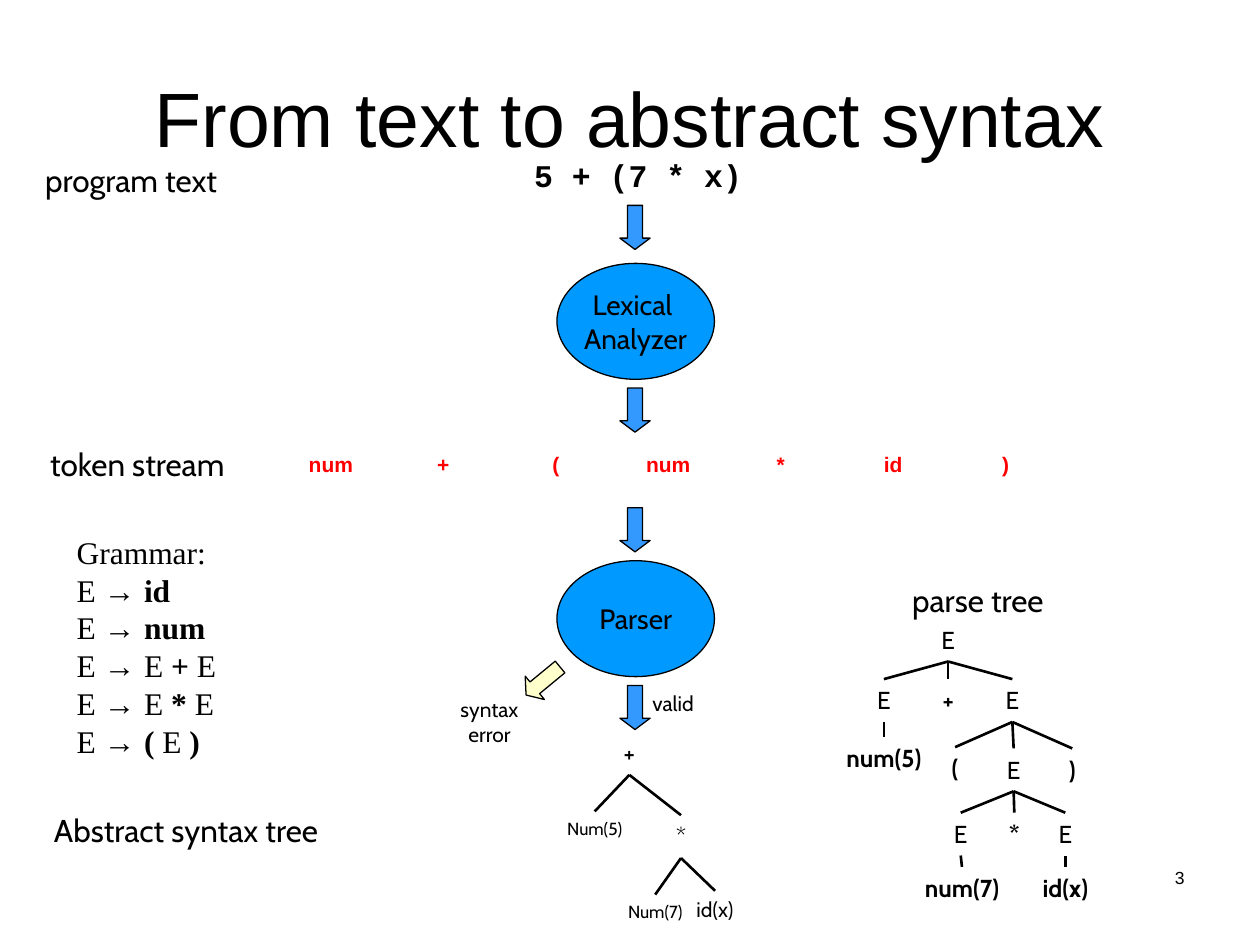
from lxml import etree
from pptx import Presentation
from pptx.dml.color import RGBColor
from pptx.enum.shapes import MSO_CONNECTOR, MSO_SHAPE
from pptx.enum.text import MSO_ANCHOR, PP_ALIGN
from pptx.oxml.ns import qn
from pptx.util import Inches, Pt

LEFT, MID, RIGHT = PP_ALIGN.LEFT, PP_ALIGN.CENTER, PP_ALIGN.RIGHT
OVAL, DOWN = MSO_SHAPE.OVAL, MSO_SHAPE.DOWN_ARROW
LINE = MSO_CONNECTOR.STRAIGHT
CENTRE = MSO_ANCHOR.MIDDLE
TOP, BOTTOM = 0, 2

deck = Presentation()
deck.slide_width, deck.slide_height = Inches(10), Inches(7.5)
UNIT = deck.slide_width / 100  # grid of 100 columns by 75 rows

slide = deck.slides.add_slide(deck.slide_layouts[5])
shapes = slide.shapes


def ink(code):
    return RGBColor.from_string(code)


def write(shape, box, text, size, face="Cabin", bold=False, align=LEFT):
    """Move a shape to its grid box and fill in its text."""
    for name, value in zip(("left", "top", "width", "height"), box):
        setattr(shape, name, round(value * UNIT))
    frame = shape.text_frame
    frame.word_wrap = align != MID
    para = frame.paragraphs[0]
    para.text = text
    para.alignment = align
    style = {"size": Pt(size), "name": face, "bold": bold}
    for run in para.runs:
        for name, value in style.items():
            setattr(run.font, name, value)
        run.font.color.rgb = ink("000000")
    return shape


# Title and page number
title = write(shapes.title, (5, 3, 90, 12.5), "From text to abstract syntax",
              44, "Arial", align=MID)
title.text_frame.vertical_anchor = CENTRE
write(shapes.add_textbox(0, 0, 0, 0), (71.7, 68.3, 23.3, 5), "3", 10,
      "Arial", align=RIGHT)

# Stage labels
write(shapes.add_textbox(0, 0, 0, 0), (41.4, 11.9, 19.3, 4), "5 + (7 * x)",
      18, "Courier New", True)
labels = [
    ("program text", (2.6, 12.3, 17.6, 4), 18, LEFT),
    ("token stream", (3, 34.8, 17.6, 4), 18, LEFT),
    ("Abstract syntax tree", (3.3, 63.9, 25.4, 4), 18, LEFT),
    ("parse tree", (71.4, 45.6, 14, 4), 18, LEFT),
    ("valid", (50.8, 54.3, 5.6, 3), 12, LEFT),
    ("syntax\nerror", (35.3, 54.8, 7.1, 5), 12, MID),
]
for text, box, size, align in labels:
    write(shapes.add_textbox(0, 0, 0, 0), box, text, size, align=align)

# Token table
tokens = ["num", "+", "(", "num", "*", "id", ")"]
frame = shapes.add_table(1, len(tokens), *(
    round(v * UNIT) for v in (21.8, 35.5, 62.5, 3.2)))
table = frame.table
table.first_row = table.horz_banding = False
for cell, token in zip(table.rows[0].cells, tokens):
    para = cell.text_frame.paragraphs[0]
    para.text = token
    para.alignment = MID
    font = para.runs[0].font
    font.size, font.name, font.bold = Pt(12), "Arial", True
    font.color.rgb = ink("FF0000")
    props = cell._tc.get_or_add_tcPr()
    for side, width in (("L", 0.45), ("R", 0.45), ("T", 1.08), ("B", 1.08)):
        edge = etree.SubElement(props, qn("a:ln" + side), w=str(Pt(width)))
        fill = etree.SubElement(edge, qn("a:solidFill"))
        etree.SubElement(fill, qn("a:srgbClr"), val="FFFFFF")
    cell.fill.background()

# Pipeline: stages and arrows
parts = [(OVAL, (44.2, 20.9, 12.5, 9.2), "Lexical \nAnalyzer", "0099FF", 0),
         (OVAL, (44.2, 44.5, 12.5, 9.2), "Parser", "0099FF", 0)]
parts += [(DOWN, (49.2, y, 2.4, 3.5), "", "3399FF", 0)
          for y in (16.3, 30.8, 40.3, 54.4)]
parts.append((DOWN, (41.9, 52.3, 2.4, 3.5), "", "FFFFCC", 50.5))
for kind, box, text, fill, turn in parts:
    part = write(shapes.add_shape(kind, 0, 0, 0, 0), box, text, 16, align=MID)
    part.text_frame.vertical_anchor = CENTRE
    part.shadow.inherit = False
    part.fill.solid()
    part.fill.fore_color.rgb = ink(fill)
    part.line.color.rgb = ink("000000")
    part.line.width = Pt(0.75)
    part.rotation = turn
    if kind == DOWN:
        part.adjustments[0], part.adjustments[1] = 0.5, 0.375

# Grammar: terminals are bold, arrows use another face
gram = write(shapes.add_textbox(0, 0, 0, 0), (5.1, 41.8, 14.2, 19),
             "Grammar:", 18, "Times New Roman")
for rule in ("E → id", "E → num", "E → E + E", "E → E * E", "E → ( E )"):
    para = gram.text_frame.add_paragraph()
    words = rule.split()
    for i, word in enumerate(words):
        run = para.add_run()
        run.text = word if i == len(words) - 1 else word + " "
        run.font.size = Pt(18)
        run.font.name = "Arial" if word == "→" else "Times New Roman"
        run.font.bold = word not in ("E", "→")
        run.font.color.rgb = ink("000000")

# Trees: key, text, centre column, top row, width, size, bold, parent key
nodes = [
    ("root", "E", 75.25, 49.1, 3.1, 14, False, None),
    ("left", "E", 70.15, 53.9, 3.1, 14, False, "root"),
    ("plus", "+", 75.25, 53.9, 3.1, 14, True, "root"),
    ("right", "E", 80.35, 53.9, 3.1, 14, False, "root"),
    ("five", "num(5)", 70.15, 58.5, 8.9, 14, True, "left"),
    ("open", "(", 75.8, 59.3, 2.6, 14, True, "right"),
    ("inner", "E", 80.45, 59.4, 3.1, 14, False, "right"),
    ("close", ")", 85.1, 59.4, 2.6, 14, True, "right"),
    ("first", "E", 76.25, 64.5, 3.1, 14, False, "inner"),
    ("times", "*", 80.5, 64.5, 3, 14, True, "inner"),
    ("second", "E", 84.55, 64.5, 3.1, 14, False, "inner"),
    ("seven", "num(7)", 76.35, 68.8, 8.9, 14, True, "first"),
    ("name", "id(x)", 84.55, 68.8, 6.3, 14, True, "second"),
    ("sum", "+", 49.95, 58.1, 3.1, 14, False, None),
    ("a", "Num(5)", 47.2, 64.4, 6.8, 10, False, "sum"),
    ("prod", "*", 54.05, 64.7, 3.1, 14, False, "sum"),
    ("b", "Num(7)", 52, 71, 6.8, 10, False, "prod"),
    ("c", "id(x)", 56.75, 70.7, 5.3, 12, False, "prod"),
]
high = {10: 2.7, 12: 3, 14: 3.4}
made = {}
for key, text, mid, top, wide, size, bold, above in nodes:
    box = (mid - wide / 2, top, wide, high[size])
    made[key] = write(shapes.add_textbox(0, 0, 0, 0), box, text, size,
                      bold=bold, align=MID)
    if above:
        edge = shapes.add_connector(LINE, 0, 0, 0, 0)
        edge.begin_connect(made[above], BOTTOM)
        edge.end_connect(made[key], TOP)
        edge.line.color.rgb = ink("000000")
        edge.line.width = Pt(1.5)
        etree.SubElement(edge._element.spPr, qn("a:effectLst"))

deck.save("out.pptx")
